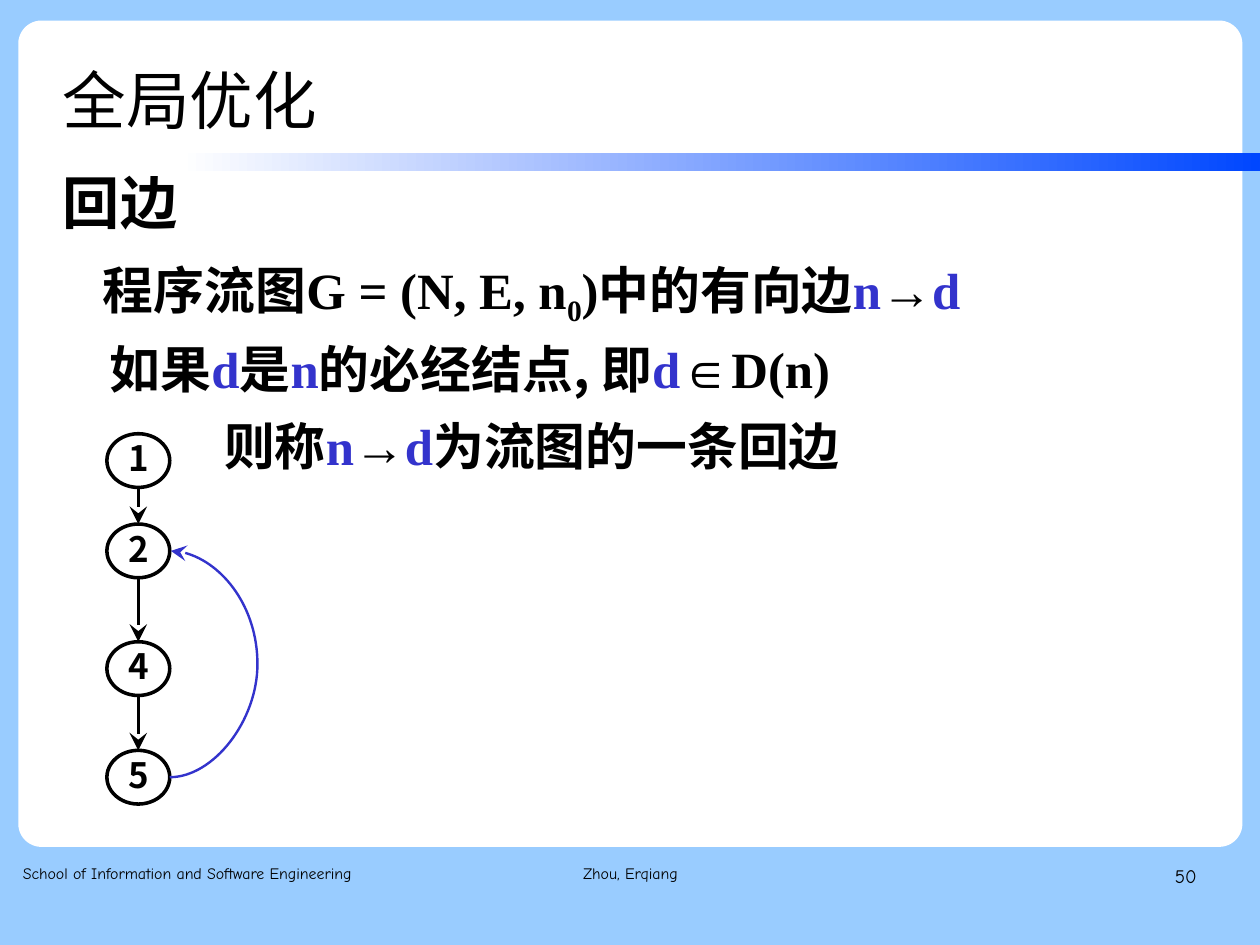
import pptx
import pptx.util
import pptx.dml.color
import pptx.enum.shapes
import pptx.enum.text
import pptx.oxml.ns
import lxml.etree

RGB = pptx.dml.color.RGBColor
SHAPE = pptx.enum.shapes.MSO_SHAPE
LINK = pptx.enum.shapes.MSO_CONNECTOR
ALIGN = pptx.enum.text.PP_ALIGN
ANCHOR = pptx.enum.text.MSO_ANCHOR
Inches, Pt, qn = pptx.util.Inches, pptx.util.Pt, pptx.oxml.ns.qn

BLACK = RGB(0x00, 0x00, 0x00)
WHITE = RGB(0xFF, 0xFF, 0xFF)
SKY = RGB(0x99, 0xCC, 0xFF)
BAND_BLUE = RGB(0x00, 0x47, 0xFF)
EDGE_BLUE = RGB(0x33, 0x33, 0xCC)
HAN, LATIN, ROUND = "Noto Sans CJK SC", "Times New Roman", "Comic Neue"

# Content: spans are (text, style)
TITLE = "全局优化"
BODY = [  # (indent in inches, spans)
    (0, [("回边", "heading")]),
    (0.35, [("程序流图", "han"), ("G = (N, E, n", "math"), ("0", "sub"), (")", "math"),
            ("中的有向边", "han"), ("n", "var"), ("→", "math"), ("d", "var")]),
    (0.41, [("如果", "han"), ("d", "var"), ("是", "han"), ("n", "var"),
            ("的必经结点, 即", "han"), ("d", "var"), ("∈D(n)", "math")]),
    (1.41, [("则称", "han"), ("n", "var"), ("→", "math"), ("d", "var"),
            ("为流图的一条回边", "han")]),
]
FOOTER = [  # (text, style, left, width, alignment)
    ("School of Information and Software Engineering", "footer", 0.2, 3.34, ALIGN.LEFT),
    ("Zhou, Erqiang", "footer", 3.77, 3.49, ALIGN.CENTER),
    ("50", "number", 7.9, 2.57, ALIGN.RIGHT),
]
NODES = [("1", 4.03), ("2", 4.82), ("4", 5.85), ("5", 6.8)]  # (label, centre height)

STYLES = {  # font, size, bold, colour, baseline
    "title": (HAN, 40, False, BLACK, 0),
    "heading": (HAN, 36, True, BLACK, 0),
    "han": (HAN, 32, True, BLACK, 0),
    "math": (LATIN, 32, True, BLACK, 0),
    "sub": (LATIN, 32, True, BLACK, -25000),
    "var": (LATIN, 32, True, EDGE_BLUE, 0),
    "node": (HAN, 22, True, BLACK, 0),
    "footer": (ROUND, 10, False, BLACK, 0),
    "number": (ROUND, 12, False, BLACK, 0),
}

MARGIN = 0.55
NODE_X, NODE_W, NODE_H = 1.21, 0.55, 0.47
BULGE = 0.78

deck = pptx.Presentation()
deck.slide_width, deck.slide_height = pptx.util.Cm(28), pptx.util.Cm(21)
page = deck.slides.add_slide(deck.slide_layouts[1])
page.background.fill.solid()
page.background.fill.fore_color.rgb = SKY


def place(box, left, top, width, height):
    box.left, box.top, box.width, box.height = map(Inches, (left, top, width, height))


def set_frame(box, **changes):
    values = dict(margin_left=0, margin_top=0, margin_right=0, margin_bottom=0, word_wrap=True,
                  auto_size=pptx.enum.text.MSO_AUTO_SIZE.NONE, vertical_anchor=ANCHOR.TOP)
    values.update(changes)
    for name, value in values.items():
        setattr(box.text_frame, name, value)


def write(para, spans, spacing, align=ALIGN.LEFT, after=0, indent=0):
    props = para._p.get_or_add_pPr()
    props.set("marL", str(Inches(indent)))
    props.set("indent", "0")
    lxml.etree.SubElement(props, qn("a:buNone"))
    for name, value in dict(alignment=align, line_spacing=spacing, space_before=Pt(0),
                            space_after=Pt(after)).items():
        setattr(para, name, value)
    for text, style in spans:
        face, size, bold, colour, baseline = STYLES[style]
        span = para.add_run()
        span.text = text
        span.font.color.rgb = colour
        for name, value in dict(name=face, size=Pt(size), bold=bold).items():
            setattr(span.font, name, value)
        run_props = span._r.get_or_add_rPr()
        lxml.etree.SubElement(run_props, qn("a:ea")).set("typeface", face)
        if baseline:
            run_props.set("baseline", str(baseline))


def add_panel(kind, left, top, width, height):
    panel = page.shapes.add_shape(kind, *map(Inches, (left, top, width, height)))
    panel.shadow.inherit = False
    panel.line.fill.background()
    return panel


def add_arrow(kind, start, end, colour, weight):
    arrow = page.shapes.add_connector(kind, *map(Inches, (*start, *end)))
    arrow.line.color.rgb = colour
    arrow.line.width = Pt(weight)
    head = lxml.etree.SubElement(arrow.line._get_or_add_ln(), qn("a:tailEnd"))
    for name, value in dict(type="stealth", w="lg", len="lg").items():
        head.set(name, value)
    lxml.etree.SubElement(arrow._element.spPr, qn("a:effectLst"))
    return arrow


# White card and gradient band
card = add_panel(SHAPE.ROUNDED_RECTANGLE, 0.16, 0.18, 10.71, 7.23)
card.adjustments[0] = 0.028
card.fill.solid()
card.fill.fore_color.rgb = WHITE
band = add_panel(SHAPE.RECTANGLE, 1.57, 1.34, 9.45, 0.16)
band.fill.gradient()
band.fill.gradient_angle = 0
for stop, colour, position in zip(band.fill.gradient_stops, (WHITE, BAND_BLUE), (0, 1)):
    stop.color.rgb = colour
    stop.position = position

# Title and body, brought in front of the card
title, body = page.shapes.title, page.placeholders[1]
for holder in (title, body):
    page.shapes._spTree.append(holder._element)
place(title, MARGIN, 0.33, 8.58, 1.01)
set_frame(title, vertical_anchor=ANCHOR.MIDDLE)
write(title.text_frame.paragraphs[0], [(TITLE, "title")], 1.1)
place(body, MARGIN, 1.51, 9.92, 5.83)
set_frame(body, margin_top=Inches(0.02))
for row, (indent, spans) in enumerate(BODY):
    para = body.text_frame.add_paragraph() if row else body.text_frame.paragraphs[0]
    write(para, spans, 0.9, after=14.2, indent=indent)

# Footer
for text, style, left, width, align in FOOTER:
    box = page.shapes.add_textbox(*map(Inches, (left, 7.53, width, 0.57)))
    set_frame(box)
    write(box.text_frame.paragraphs[0], [(text, style)], 1.16, align)

# Flow graph nodes
for label, centre in NODES:
    node = add_panel(SHAPE.OVAL, NODE_X - NODE_W / 2, centre - NODE_H / 2, NODE_W, NODE_H)
    node.fill.background()
    node.line.color.rgb = BLACK
    node.line.width = Pt(2.25)
    set_frame(node, word_wrap=False, vertical_anchor=ANCHOR.MIDDLE)
    write(node.text_frame.paragraphs[0], [(label, "node")], 0.9, ALIGN.CENTER)

# Forward edges
centres = [centre for label, centre in NODES]
for upper, lower in zip(centres, centres[1:]):
    add_arrow(LINK.STRAIGHT, (NODE_X, upper + NODE_H / 2), (NODE_X, lower - NODE_H / 2),
              BLACK, 2.25)

# Back edge from 5 to 2: the bulge is a multiple of the connector's tiny width
side, step = NODE_X + NODE_W / 2, 0.01
back_edge = add_arrow(LINK.CURVE, (side, centres[3]), (side + step, centres[1]), EDGE_BLUE, 1.5)
geometry = back_edge._element.spPr.find(qn("a:prstGeom"))
guides = geometry.find(qn("a:avLst"))
guide = lxml.etree.SubElement(guides, qn("a:gd"))
guide.set("name", "adj1")
guide.set("fmla", f"val {round(BULGE / step * 100000)}")

deck.save("out.pptx")
